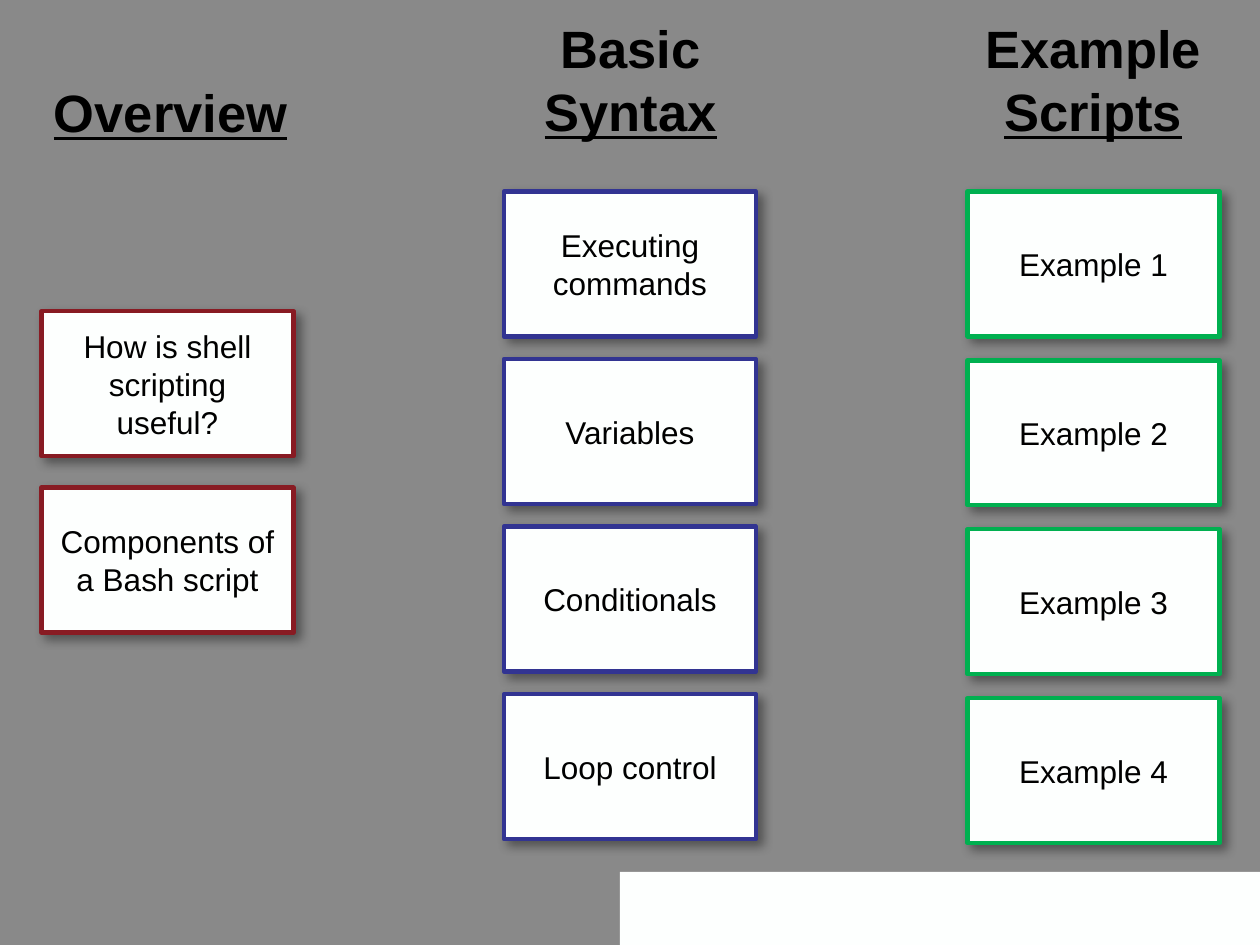
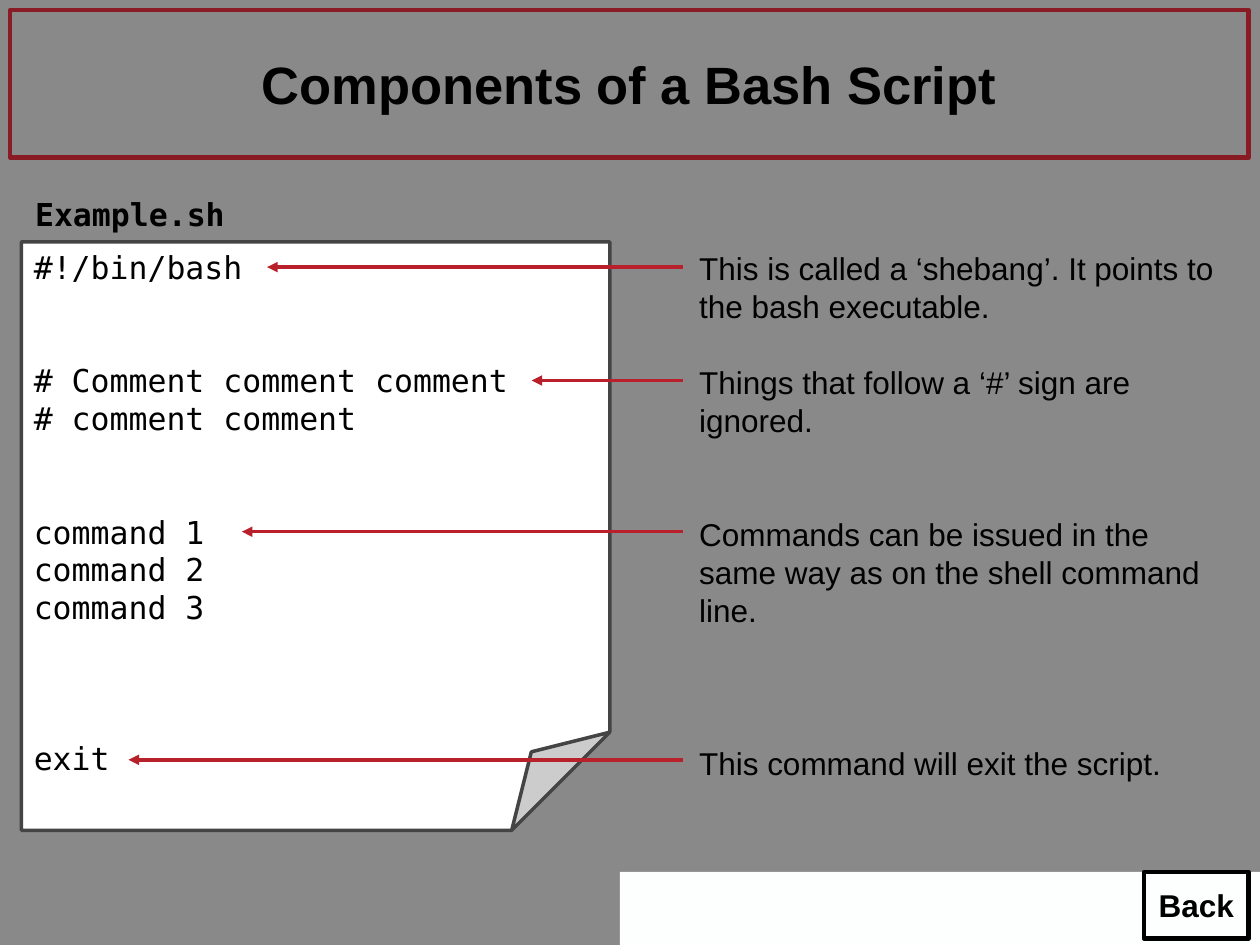
from lxml import etree
from pptx import Presentation
from pptx.dml.color import RGBColor
from pptx.enum.shapes import MSO_CONNECTOR, MSO_SHAPE
from pptx.enum.text import MSO_ANCHOR, MSO_AUTO_SIZE, PP_ALIGN
from pptx.oxml.ns import qn
from pptx.util import Inches, Pt

GREY = RGBColor(0x89, 0x89, 0x89)
PAPER = RGBColor(0xFD, 0xFF, 0xFE)
WHITE = RGBColor(0xFF, 0xFF, 0xFF)
BLACK = RGBColor(0x00, 0x00, 0x00)
CHARCOAL = RGBColor(0x44, 0x44, 0x44)
MAROON = RGBColor(0x88, 0x1B, 0x23)
NAVY = RGBColor(0x32, 0x34, 0x92)
GREEN = RGBColor(0x00, 0xB0, 0x50)
RED = RGBColor(0xB8, 0x21, 0x2B)

SANS = "Arial"
MONO = "DejaVu Sans Mono"
BODY_SIZE = 18
TITLE_SIZE = 30
LINE_FACTOR = 1.2
TITLE_ONLY, BLANK = 5, 6


class Deck:
    def __init__(self):
        self.prs = Presentation()
        self.prs.slide_width = Inches(10)
        self.prs.slide_height = Inches(7.5)
        self.slide = None

    def start_slide(self, layout):
        self.slide = self.prs.slides.add_slide(self.prs.slide_layouts[layout])
        for holder in list(self.slide.placeholders):
            if holder != self.slide.shapes.title:
                holder.element.getparent().remove(holder.element)

    def dress_master(self):
        master = self.prs.slide_master
        fill = master.background.fill
        fill.solid()
        fill.fore_color.rgb = GREY
        band = self.shape(MSO_SHAPE.RECTANGLE, (4.92, 6.92, 5.08, 0.58), PAPER)
        band.element.nvSpPr.cNvPr.set("id", "50")
        master.shapes.element.append(band.element)

    def put_text(self, shape, lines, size=BODY_SIZE, font=SANS, bold=False,
                 align=PP_ALIGN.LEFT, anchor=MSO_ANCHOR.TOP, underline_last=False,
                 gaps=None):
        frame = shape.text_frame
        frame.word_wrap = True
        frame.vertical_anchor = anchor
        for index, line in enumerate(lines):
            paragraph = frame.add_paragraph() if index else frame.paragraphs[0]
            paragraph.alignment = align
            paragraph.line_spacing = Pt(size * LINE_FACTOR)
            paragraph.space_before = Pt(size * LINE_FACTOR * (gaps or {}).get(index, 0))
            run = paragraph.add_run()
            run.text = line
            run.font.name = font
            run.font.size = Pt(size)
            run.font.bold = bold
            run.font.color.rgb = BLACK
            if underline_last and index == len(lines) - 1:
                run.font.underline = True

    def outline(self, shape, color, width):
        shape.line.color.rgb = color
        shape.line.width = Pt(width)

    def shape(self, kind, box, fill=None, line=None, width=2.5):
        shape = self.slide.shapes.add_shape(kind, *map(Inches, box))
        shape.shadow.inherit = False
        if fill is None:
            shape.fill.background()
        else:
            shape.fill.solid()
            shape.fill.fore_color.rgb = fill
        if line is None:
            shape.line.fill.background()
        else:
            self.outline(shape, line, width)
        return shape

    def card(self, left, top, text, color):
        card = self.shape(MSO_SHAPE.RECTANGLE, (left, top, 2, 1.15), PAPER, color)
        effects = card.element.spPr.find(qn("a:effectLst"))
        shadow = etree.SubElement(
            effects, qn("a:outerShdw"), blurRad=str(Pt(6)), dist=str(Pt(4)),
            dir=str(45 * 60000), algn="tl", rotWithShape="0")
        tone = etree.SubElement(shadow, qn("a:srgbClr"), val=str(BLACK))
        etree.SubElement(tone, qn("a:alpha"), val="40000")
        self.put_text(card, [text], align=PP_ALIGN.CENTER, anchor=MSO_ANCHOR.MIDDLE)

    def column(self, left, top, step, color, labels):
        for index, label in enumerate(labels):
            self.card(left, top + index * step, label, color)

    def text(self, box, lines, **style):
        label = self.slide.shapes.add_textbox(*map(Inches, box))
        self.put_text(label, lines, **style)
        label.text_frame.auto_size = MSO_AUTO_SIZE.SHAPE_TO_FIT_TEXT

    def heading(self, box, lines):
        self.text(box, lines, size=TITLE_SIZE, bold=True,
                  align=PP_ALIGN.CENTER, underline_last=True)

    def title(self, text, color):
        title = self.slide.shapes.title
        title.left, title.top, title.width, title.height = map(
            Inches, (0.08, 0.08, 9.83, 1.17))
        self.outline(title, color, 2.5)
        self.put_text(title, [text], size=TITLE_SIZE, bold=True,
                      align=PP_ALIGN.CENTER, anchor=MSO_ANCHOR.MIDDLE)
        title.text_frame.auto_size = MSO_AUTO_SIZE.NONE

    def button(self, text):
        button = self.shape(MSO_SHAPE.RECTANGLE, (9.08, 6.92, 0.83, 0.53), line=BLACK)
        self.put_text(button, [text], bold=True, align=PP_ALIGN.CENTER,
                      anchor=MSO_ANCHOR.MIDDLE)

    def arrow(self, start, end, y):
        arrow = self.slide.shapes.add_connector(
            MSO_CONNECTOR.STRAIGHT, Inches(start), Inches(y), Inches(end), Inches(y))
        self.outline(arrow, RED, 2)
        properties = arrow.element.spPr
        etree.SubElement(properties.find(qn("a:ln")), qn("a:tailEnd"), type="triangle")
        etree.SubElement(properties, qn("a:effectLst"))


deck = Deck()

deck.start_slide(BLANK)
deck.dress_master()
deck.heading((0.28, 0.59, 2.15, 0.6), ["Overview"])
deck.heading((3.55, 0.08, 2.91, 1.1), ["Basic", "Syntax"])
deck.heading((7.35, 0.08, 2.65, 1.1), ["Example", "Scripts"])
deck.column(0.33, 2.47, 1.4, MAROON,
            ["How is shell scripting useful?", "Components of a Bash script"])
deck.column(4, 1.52, 1.33, NAVY,
            ["Executing commands", "Variables", "Conditionals", "Loop control"])
deck.column(7.68, 1.52, 1.34, GREEN, [f"Example {n}" for n in range(1, 5)])

deck.start_slide(TITLE_ONLY)
deck.title("Components of a Bash Script", MAROON)
deck.button("Back")
script_page = deck.shape(MSO_SHAPE.FOLDED_CORNER, (0.17, 1.92, 4.67, 4.67),
                         WHITE, CHARCOAL, 2)
script_lines = ["#!/bin/bash", "# Comment comment comment", "# comment comment",
                "command 1", "command 2", "command 3", "exit"]
deck.put_text(script_page, script_lines, font=MONO, gaps={1: 2, 3: 2, 6: 3})
deck.text((0.18, 1.5, 1.88, 0.4), ["Example.sh"], font=MONO, bold=True)

EXPLANATIONS = [
    (2.12, 2.12, 1.93, 0.7,
     "This is called a ‘shebang’. It points to the bash executable."),
    (3.02, 4.22, 2.83, 0.7, "Things that follow a ‘#’ sign are ignored."),
    (4.22, 1.92, 4.04, 1,
     "Commands can be issued in the same way as on the shell command line."),
    (6.03, 1.02, 5.86, 0.4, "This command will exit the script."),
]
for arrow_y, arrow_end, top, height, explanation in EXPLANATIONS:
    deck.arrow(5.42, arrow_end, arrow_y)
    deck.text((5.45, top, 4.42, height), [explanation])

deck.prs.save("out.pptx")
